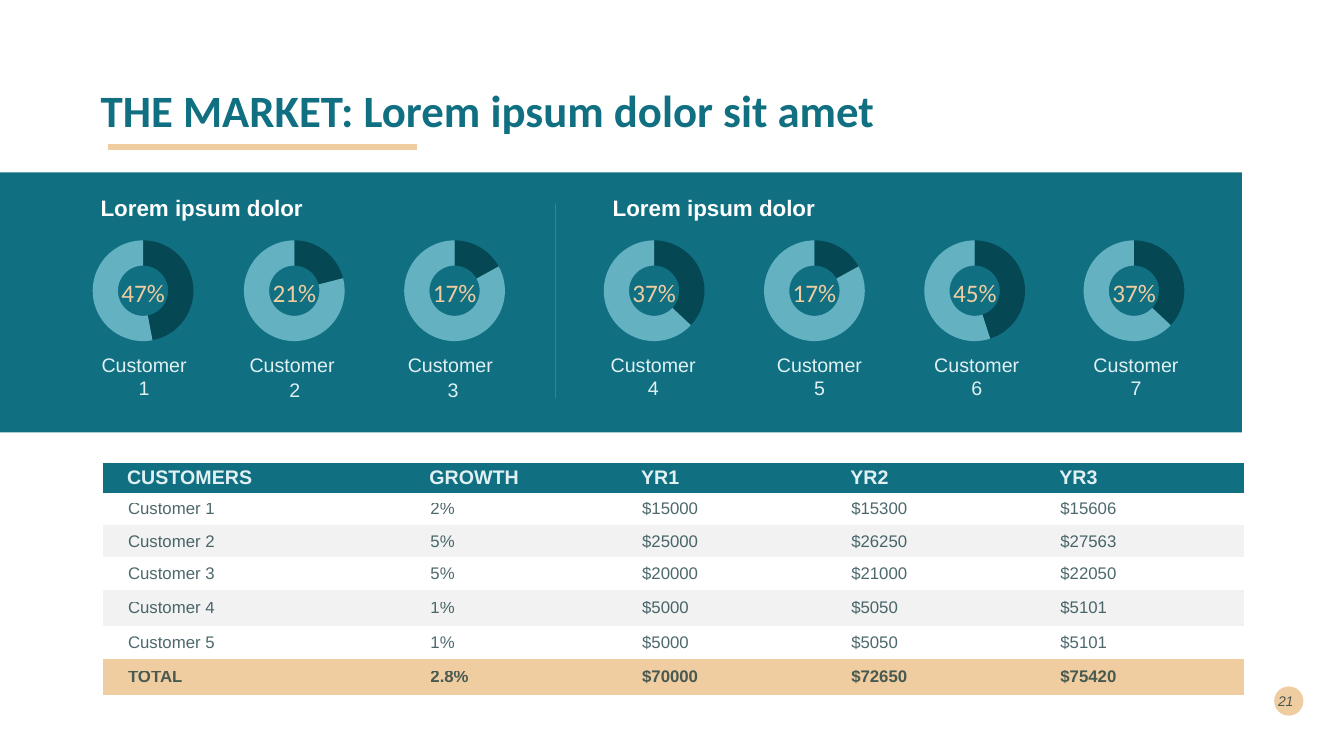
"""Build the market slide: customer share rings above a revenue table."""
import dataclasses

import lxml.etree
import pptx
import pptx.chart.data
import pptx.dml.color
import pptx.enum.chart
import pptx.enum.shapes
import pptx.enum.text
import pptx.oxml
import pptx.oxml.ns
import pptx.shapes.connector
import pptx.slide
import pptx.text.text
import pptx.util

RGBColor = pptx.dml.color.RGBColor
TEAL = RGBColor(0x10, 0x70, 0x82)
DARK_TEAL = RGBColor(0x05, 0x48, 0x54)
LIGHT_TEAL = RGBColor(0x64, 0xB2, 0xC1)
PALE = RGBColor(0xE0, 0xF0, 0xF3)
SAND = RGBColor(0xF0, 0xCD, 0xA1)
INK = RGBColor(0x00, 0x29, 0x2E)
GREY = RGBColor(0xF2, 0xF2, 0xF2)
WHITE = RGBColor(0xFF, 0xFF, 0xFF)

Align = pptx.enum.text.PP_ALIGN
Anchor = pptx.enum.text.MSO_ANCHOR
Preset = pptx.enum.shapes.MSO_SHAPE
qn = pptx.oxml.ns.qn

UNITS_PER_INCH = 10
RING_WIDTH, RING_HEIGHT, RING_DIAMETER = 16.2, 12.7, 10
NO_GRID_STYLE = "{2D5ABB26-0587-4C30-8999-92F81FD0307C}"


@dataclasses.dataclass(frozen=True)
class Area:
    left: float
    top: float
    width: float
    height: float

    def lengths(self) -> list[pptx.util.Length]:
        return [grid(side) for side in dataclasses.astuple(self)]


@dataclasses.dataclass(frozen=True)
class Customer:
    label: str
    share: int
    ring_centre: float
    label_centre: float
    label_width: float = 9.9


@dataclasses.dataclass(frozen=True)
class RowStyle:
    height: float
    fill: RGBColor | None
    size: int = 12
    colour: RGBColor = INK
    opacity: int = 70
    bold: bool = False
    before: float = 3.4
    indent: float = 2.5
    padding: float = 0.5


CUSTOMERS = [
    Customer("Customer 1", 47, 14.2, 14.25),
    Customer("Customer \n2", 21, 29.2, 29.2, 11),
    Customer("Customer \n3", 17, 45.1, 44.9, 11),
    Customer("Customer 4", 37, 64.9, 64.75),
    Customer("Customer 5", 17, 80.8, 81.25),
    Customer("Customer 6", 45, 96.7, 96.85),
    Customer("Customer 7", 37, 112.5, 112.65),
]

COLUMN_WIDTHS = [30, 21, 20.75, 20.75, 20.75]
TABLE_ROWS = [
    (RowStyle(3, TEAL, 14, PALE, 100, True, 7.8, 2.4, 0),
     ["CUSTOMERS", "GROWTH", "YR1", "YR2", "YR3"]),
    (RowStyle(3.2, None), ["Customer 1", "2%", "$15000", "$15300", "$15606"]),
    (RowStyle(3.2, GREY), ["Customer 2", "5%", "$25000", "$26250", "$27563"]),
    (RowStyle(3.2, None), ["Customer 3", "5%", "$20000", "$21000", "$22050"]),
    (RowStyle(3.65, GREY), ["Customer 4", "1%", "$5000", "$5050", "$5101"]),
    (RowStyle(3.2, None), ["Customer 5", "1%", "$5000", "$5050", "$5101"]),
    (RowStyle(3.65, SAND, bold=True, before=3.7, padding=0),
     ["TOTAL", "2.8%", "$70000", "$72650", "$75420"]),
]


def grid(units: float) -> pptx.util.Length:
    return pptx.util.Inches(units / UNITS_PER_INCH)


def fade(element: lxml.etree.ElementBase, opacity: int) -> None:
    for colour in element.iter(qn("a:srgbClr")):
        lxml.etree.SubElement(colour, qn("a:alpha"), val=str(opacity * 1000))


def write(frame: pptx.text.text.TextFrame, text: str, *, size: float, colour: RGBColor,
          font: str = "Arial", bold: bool = False, italic: bool = False,
          align: Align = Align.LEFT, before: float = 0, spacing: float = 1,
          indent: float = 0, opacity: int = 100) -> None:
    frame.text = text
    for para in frame.paragraphs:
        para.alignment = align
        para.space_before = pptx.util.Pt(before)
        para.line_spacing = spacing
        para._p.get_or_add_pPr().set("marL", str(grid(indent)))
        for span in para.runs:
            span.font.name = font
            span.font.size = pptx.util.Pt(size)
            span.font.bold, span.font.italic = bold, italic
            span.font.color.rgb = colour
            if opacity < 100:
                fade(span._r, opacity)


def add_text(page: pptx.slide.Slide, area: Area, text: str, *, tight: bool = False,
             anchor: Anchor = Anchor.TOP, **style) -> None:
    frame = page.shapes.add_textbox(*area.lengths()).text_frame
    frame.word_wrap = True
    frame.vertical_anchor = anchor
    if tight:
        frame.margin_left = frame.margin_right = frame.margin_bottom = 0
        frame.margin_top = grid(0.1)
    write(frame, text, **style)


def add_block(page: pptx.slide.Slide, preset: Preset, area: Area, fill: RGBColor) -> None:
    block = page.shapes.add_shape(preset, *area.lengths())
    block.shadow.inherit = False
    block.fill.solid()
    block.fill.fore_color.rgb = fill
    block.line.fill.background()


def add_line(page: pptx.slide.Slide, start: tuple[float, float], end: tuple[float, float],
             colour: RGBColor, weight: float) -> pptx.shapes.connector.Connector:
    line = page.shapes.add_connector(pptx.enum.shapes.MSO_CONNECTOR.STRAIGHT,
                                     *map(grid, (*start, *end)))
    line.line.color.rgb = colour
    line.line.width = pptx.util.Pt(weight)
    lxml.etree.SubElement(line._element.spPr, qn("a:effectLst"))
    return line


def add_ring(page: pptx.slide.Slide, customer: Customer) -> None:
    values = pptx.chart.data.CategoryChartData()
    values.categories = ["1", "2"]
    values.add_series("Series 1", [customer.share, 100 - customer.share])
    area = Area(customer.ring_centre - RING_WIDTH / 2, 22.5, RING_WIDTH, RING_HEIGHT)
    chart = page.shapes.add_chart(pptx.enum.chart.XL_CHART_TYPE.DOUGHNUT,
                                  *area.lengths(), values).chart
    chart.has_legend = chart.has_title = False
    chart.font.name, chart.font.size = "Arial", pptx.util.Pt(10)
    plot = chart.plots[0]
    plot.vary_by_categories = True
    plot._element.find(qn("c:holeSize")).set("val", "67")
    for index, colour in enumerate((DARK_TEAL, LIGHT_TEAL)):
        slice_format = plot.series[0].points[index].format
        slice_format.fill.solid()
        slice_format.fill.fore_color.rgb = colour
        slice_format.line.fill.background()

    plot_area = chart._chartSpace.chart.plotArea
    for layout in plot_area.findall(qn("c:layout")):
        plot_area.remove(layout)
    layout = pptx.oxml.parse_xml(f"<c:layout {pptx.oxml.ns.nsdecls('c')}><c:manualLayout/></c:layout>")
    plot_area.insert(0, layout)
    width, height = RING_DIAMETER / RING_WIDTH, RING_DIAMETER / RING_HEIGHT
    settings = {"layoutTarget": "inner", "xMode": "edge", "yMode": "edge",
                "x": (1 - width) / 2, "y": (1 - height) / 2, "w": width, "h": height}
    for name, value in settings.items():
        lxml.etree.SubElement(layout[0], qn(f"c:{name}"), val=str(value))
    chart._chartSpace.chart.addnext(pptx.oxml.parse_xml(
        f"<c:spPr {pptx.oxml.ns.nsdecls('c', 'a')}><a:noFill/><a:ln><a:noFill/></a:ln></c:spPr>"))


def add_customer(page: pptx.slide.Slide, customer: Customer) -> None:
    add_ring(page, customer)
    add_text(page, Area(customer.ring_centre - 4.95, 27.4, 9.9, 3.2), f"{customer.share}%",
             tight=True, size=18, colour=SAND, font="Calibri", align=Align.CENTER, before=1)
    left = customer.label_centre - customer.label_width / 2
    add_text(page, Area(left, 34.9, customer.label_width, 4.9), customer.label,
             tight=True, size=14, colour=PALE, align=Align.CENTER, before=1, indent=0.1)


def add_revenue_table(page: pptx.slide.Slide) -> None:
    area = Area(10.2, 45.9, sum(COLUMN_WIDTHS), sum(style.height for style, _ in TABLE_ROWS))
    table = page.shapes.add_table(len(TABLE_ROWS), len(COLUMN_WIDTHS), *area.lengths()).table
    table.first_row = table.horz_banding = False
    table._tbl.tblPr.find(qn("a:tableStyleId")).text = NO_GRID_STYLE
    for column, width in zip(table.columns, COLUMN_WIDTHS):
        column.width = grid(width)
    for row, (style, texts) in zip(table.rows, TABLE_ROWS):
        row.height = grid(style.height)
        for cell, text in zip(row.cells, texts):
            cell.vertical_anchor = Anchor.MIDDLE
            cell.margin_left = 0
            cell.margin_right = grid(style.padding * 2)
            cell.margin_top = cell.margin_bottom = grid(style.padding)
            if style.fill is None:
                cell.fill.background()
            else:
                cell.fill.solid()
                cell.fill.fore_color.rgb = style.fill
            write(cell.text_frame, text, size=style.size, colour=style.colour, bold=style.bold,
                  before=style.before, indent=style.indent, opacity=style.opacity)


def main() -> None:
    deck = pptx.Presentation()
    deck.slide_width, deck.slide_height = grid(133.33), grid(75)
    page = deck.slides.add_slide(deck.slide_layouts[6])
    add_block(page, Preset.OVAL, Area(126.4, 68.1, 2.9, 2.9), SAND)
    add_block(page, Preset.RECTANGLE, Area(0, 17.1, 123.2, 25.8), TEAL)
    add_text(page, Area(125.4, 67.5, 3.9, 4), "21", anchor=Anchor.MIDDLE, size=10,
             colour=INK, italic=True, align=Align.RIGHT, opacity=70)
    add_text(page, Area(9, 4, 115, 14.5), "THE MARKET: Lorem ipsum dolor sit amet",
             anchor=Anchor.MIDDLE, size=32, colour=TEAL, font="Calibri", bold=True, spacing=0.9)
    add_line(page, (10.7, 14.6), (41.4, 14.6), SAND, 4.32)
    for left, width in ((9, 41.4), (59.8, 57.2)):
        add_text(page, Area(left, 19.1, width, 3.8), "Lorem ipsum dolor", size=16,
                 colour=WHITE, bold=True, before=10, spacing=0.9)
    fade(add_line(page, (55.1, 20.2), (55.1, 39.5), PALE, 0.25)._element, 25)
    for customer in CUSTOMERS:
        add_customer(page, customer)
    add_revenue_table(page)
    deck.save("out.pptx")


if __name__ == "__main__":
    main()
